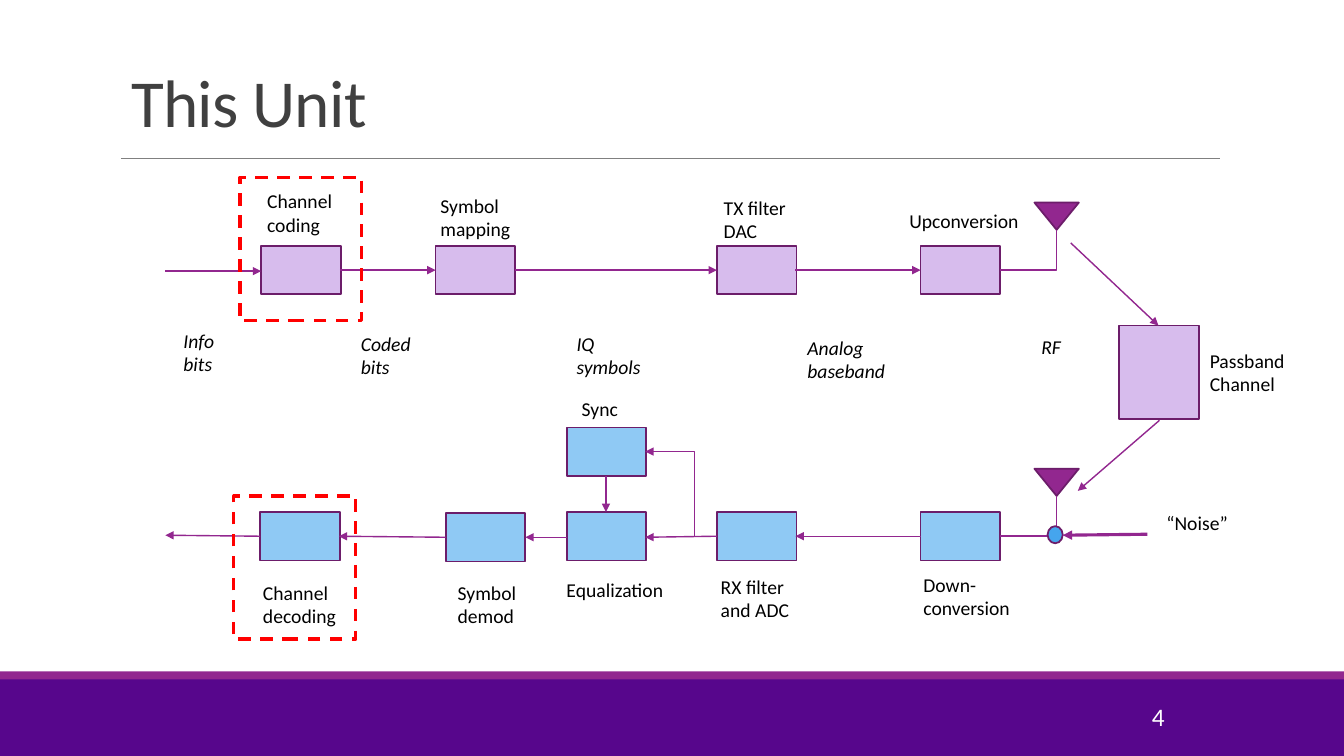
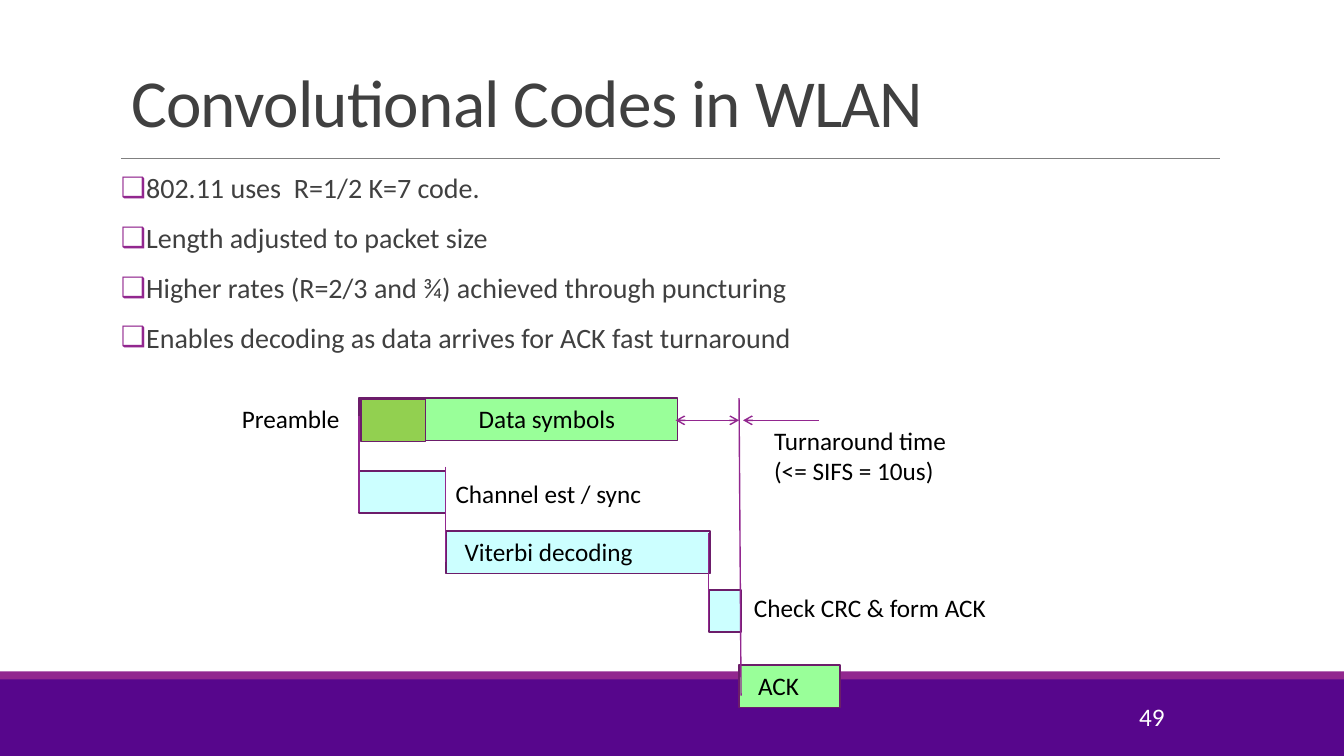
from lxml.etree import SubElement
from pptx import Presentation
from pptx.dml.color import RGBColor
from pptx.enum.dml import MSO_LINE
from pptx.enum.shapes import MSO_CONNECTOR as CONN, MSO_SHAPE as SHAPE
from pptx.enum.text import MSO_ANCHOR as ANCHOR, MSO_AUTO_SIZE as AUTO, PP_ALIGN as ALIGN
from pptx.oxml.ns import qn
from pptx.util import Inches, Pt

FONT = "Calibri"
BLACK = RGBColor(0x00, 0x00, 0x00)
WHITE = RGBColor(0xFF, 0xFF, 0xFF)
DARK = RGBColor(0x40, 0x40, 0x40)
GRAY = RGBColor(0x80, 0x80, 0x80)
RED = RGBColor(0xFF, 0x00, 0x00)
VIOLET = RGBColor(0x57, 0x06, 0x8C)
PURPLE = RGBColor(0x92, 0x27, 0x8F)
PLUM = RGBColor(0x6C, 0x1D, 0x6A)
LILAC = RGBColor(0xD7, 0xBC, 0xED)
SKY = RGBColor(0x8F, 0xC9, 0xF4)
BLUE = RGBColor(0x45, 0xA5, 0xED)
MINT = RGBColor(0x99, 0xFF, 0x99)
GREEN = RGBColor(0x92, 0xD0, 0x50)
CYAN = RGBColor(0xCC, 0xFF, 0xFF)

BLOCK_W, BLOCK_H = 0.79, 0.48
BLOCKS = [
    (LILAC, [(2.59, 2.44), (4.32, 2.44), (7.11, 2.44), (9.13, 2.44)]),
    (SKY, [(9.13, 5.08), (7.11, 5.08), (5.62, 4.24), (5.62, 5.08), (4.42, 5.09), (2.58, 5.08)]),
]
CHANNEL = (11.1, 3.23, BLOCK_W, 0.93)
ANTENNAS = [(10.26, 2.01), (10.26, 4.65)]
ADDER = (10.39, 5.22, 0.15, 0.17)
HIGHLIGHTS = [(2.38, 1.76), (2.32, 4.92)]
ARROWS = [
    (1.64, 2.69, 2.59, 2.69), (3.37, 2.68, 4.32, 2.68), (5.11, 2.68, 7.11, 2.68),
    (7.89, 2.68, 9.13, 2.68), (10.62, 2.41, 11.49, 3.23), (11.5, 4.17, 10.69, 4.87),
    (9.13, 5.32, 7.89, 5.32), (7.11, 5.32, 6.4, 5.33), (6.01, 4.72, 6.01, 5.08),
    (5.62, 5.33, 5.21, 5.33), (4.42, 5.33, 3.36, 5.32), (2.58, 5.32, 1.64, 5.31),
]
NOISE_ARROW = (11.38, 5.3, 10.54, 5.31)
ELBOWS = [
    ((9.92, 2.68, 10.48, 2.28), None),
    ((9.92, 5.32, 10.48, 4.92), None),
    ((6.4, 4.48, 6.89, 5.32), "triangle"),
]
STAGE_LABELS = [
    ("Channel coding", 2.55, 1.83, 1.05, 0.57),
    ("Symbol\nmapping", 4.27, 1.87, 0.9, 0.57),
    ("TX filter DAC", 7.08, 1.89, 1.03, 0.57),
    ("Upconversion", 8.92, 2.02, 1.29, 0.34),
    ("Passband\nChannel", 11.9, 3.41, 1.29, 0.57),
    ("Down-conversion", 9.06, 5.63, 1.29, 0.57),
    ("RX filter\nand ADC", 7.05, 5.65, 1.29, 0.57),
    ("Sync", 5.67, 3.89, 1.29, 0.34),
    ("Equalization", 5.52, 5.68, 1.29, 0.34),
    ("Symbol\ndemod", 4.44, 5.71, 0.95, 0.57),
    ("Channel\ndecoding", 2.51, 5.71, 0.95, 0.57),
    ("“Noise”", 11.47, 5.02, 1.29, 0.34),
]
SIGNAL_LABELS = [
    ("Info bits", 1.72, 3.21, 0.78, 0.57),
    ("Coded bits", 3.48, 3.24, 0.78, 0.57),
    ("IQ symbols", 5.62, 3.24, 0.95, 0.57),
    ("Analog baseband", 7.91, 3.28, 1.04, 0.57),
    ("RF", 10.23, 3.27, 0.57, 0.34),
]

BULLETS = [
    "802.11 uses  R=1/2 K=7 code.",
    "Length adjusted to packet size",
    "Higher rates (R=2/3 and ¾) achieved through puncturing",
    "Enables decoding as data arrives for ACK fast turnaround",
]
BAR_H = 0.42
BARS = [
    (3.56, 3.95, 3.16, MINT), (4.42, 5.27, 2.62, CYAN), (3.56, 4.67, 0.86, CYAN),
    (3.58, 3.96, 0.64, GREEN), (7.03, 5.85, 0.32, CYAN), (7.33, 6.6, 1, MINT),
]
BAR_LABELS = [
    ("Data symbols", 4.65, 3.95, 1.57, 0.4),
    ("Viterbi decoding", 4.51, 5.27, 1.89, 0.4),
    ("Channel est / sync", 4.42, 4.7, 2.07, 0.4),
    ("Preamble", 2.3, 3.95, 1.18, 0.4),
    ("Check CRC & form ACK", 7.38, 5.83, 2.53, 0.4),
    ("ACK", 7.42, 6.6, 0.61, 0.4),
    ("Turnaround time\n(<= SIFS = 10us)", 7.58, 4.17, 1.93, 0.71),
]
TIME_MARKS = [
    (3.56, 4.13, 3.56, 5.08), (4.42, 4.63, 4.42, 5.58),
    (7.03, 5.29, 7.03, 6.25), (7.33, 3.95, 7.35, 6.9),
]
TURNAROUND = [((8.12, 4.17, 7.37, 4.17), None), ((7.33, 4.17, 6.7, 4.17), "arrow")]


def style(p, **fmt):
    for r in p.runs:
        r.font.name = FONT
        r.font.color.rgb = fmt.get("color", BLACK)
        for name in ("size", "italic"):
            if name in fmt:
                setattr(r.font, name, fmt[name])


def place(s, at):
    for name, value in zip(("left", "top", "width", "height"), at):
        setattr(s, name, Inches(value))


def shape(slide, kind, at, fill=None, line=PLUM, width=1.25):
    s = slide.shapes.add_shape(kind, *map(Inches, at))
    s.shadow.inherit = False
    if fill is None:
        s.fill.background()
    else:
        s.fill.solid()
        s.fill.fore_color.rgb = fill
    if line is None:
        s.line.fill.background()
    else:
        s.line.color.rgb = line
        s.line.width = Pt(width)
    return s


def connect(slide, ends, color=PURPLE, width=1, head=None, tail=None, elbow=False):
    c = slide.shapes.add_connector(CONN.ELBOW if elbow else CONN.STRAIGHT, *map(Inches, ends))
    c.line.color.rgb = color
    c.line.width = Pt(width)
    props = c._element.spPr
    if elbow:
        props.find(qn("a:prstGeom")).set("prst", "bentConnector2")
    for tag, arrow in (("a:headEnd", head), ("a:tailEnd", tail)):
        if arrow:
            SubElement(props.find(qn("a:ln")), qn(tag)).set("type", arrow)
    SubElement(props, qn("a:effectLst"))


def text(slide, label, *at, wrap=True, **fmt):
    s = slide.shapes.add_textbox(*map(Inches, at))
    tf = s.text_frame
    tf.word_wrap = wrap
    p = tf.paragraphs[0]
    p.text = label
    style(p, **fmt)
    return s


def add_slide(prs, layout, title, number):
    slide = prs.slides.add_slide(prs.slide_layouts[layout])
    shape(slide, SHAPE.RECTANGLE, (0, 6.66, 13.33, 0.1), PURPLE, None)
    shape(slide, SHAPE.RECTANGLE, (0, 6.74, 13.33, 0.76), VIOLET, None)
    connect(slide, (1.2, 1.57, 12.1, 1.57), GRAY, 0.5)
    s = slide.shapes.title
    place(s, (1.2, 0.31, 11, 1.14))
    tf = s.text_frame
    tf.text = title
    tf.auto_size = AUTO.NONE
    tf.vertical_anchor = ANCHOR.BOTTOM
    p = tf.paragraphs[0]
    p.alignment = ALIGN.LEFT
    p.line_spacing = 0.85
    style(p, size=Pt(48), color=DARK)
    p.runs[0]._r.get_or_add_rPr().set("spc", "-50")
    tf = text(slide, number, 10.22, 6.91, 1.43, 0.4, size=Pt(18), color=WHITE).text_frame
    tf.vertical_anchor = ANCHOR.MIDDLE
    tf.paragraphs[0].alignment = ALIGN.RIGHT
    return slide


def add_bullets(s, items):
    place(s, (1.2, 1.68, 11, 4.74))
    tf = s.text_frame
    tf.text = "\n".join(items)
    tf.auto_size = AUTO.NONE
    tf.margin_left = tf.margin_right = 0
    for p in tf.paragraphs:
        for name, value in {"line_spacing": 0.9, "space_before": Pt(12), "space_after": Pt(2)}.items():
            setattr(p, name, value)
        style(p, size=Pt(20), color=DARK)
        props = p._p.get_or_add_pPr()
        props.set("marL", str(Inches(0.1)))
        props.set("indent", str(-Inches(0.1)))
        SubElement(SubElement(props, qn("a:buClr")), qn("a:srgbClr")).set("val", str(PURPLE))
        SubElement(props, qn("a:buFont")).set("typeface", FONT)
        SubElement(props, qn("a:buChar")).set("char", "❑")


def build_link(prs):
    slide = add_slide(prs, 5, "This Unit", "4")
    for fill, corners in BLOCKS:
        for corner in corners:
            shape(slide, SHAPE.RECTANGLE, (*corner, BLOCK_W, BLOCK_H), fill)
    shape(slide, SHAPE.RECTANGLE, CHANNEL, LILAC)
    for corner in ANTENNAS:
        shape(slide, SHAPE.ISOSCELES_TRIANGLE, (*corner, 0.44, 0.27), PURPLE).rotation = 180
    for ends, head in ELBOWS:
        connect(slide, ends, head=head, elbow=True)
    for ends in ARROWS:
        connect(slide, ends, tail="triangle")
    shape(slide, SHAPE.OVAL, ADDER, BLUE)
    connect(slide, NOISE_ARROW, width=2.25, tail="triangle")
    for labels, italic in ((STAGE_LABELS, False), (SIGNAL_LABELS, True)):
        for label in labels:
            text(slide, *label, size=Pt(14), italic=italic)
    for corner in HIGHLIGHTS:
        s = shape(slide, SHAPE.RECTANGLE, (*corner, 1.21, 1.42), None, RED, 2.25)
        s.line.dash_style = MSO_LINE.DASH


def build_timing(prs):
    slide = add_slide(prs, 1, "Convolutional Codes in WLAN", "49")
    add_bullets(slide.placeholders[1], BULLETS)
    for x, y, w, fill in BARS:
        shape(slide, SHAPE.RECTANGLE, (x, y, w, BAR_H), fill)
    for label in BAR_LABELS:
        text(slide, *label, wrap=False, size=Pt(18))
    for ends in TIME_MARKS:
        connect(slide, ends)
    for ends, head in TURNAROUND:
        connect(slide, ends, head=head, tail="arrow")


def main():
    prs = Presentation()
    prs.slide_width, prs.slide_height = Inches(13.33), Inches(7.5)
    build_link(prs)
    build_timing(prs)
    prs.save("out.pptx")


if __name__ == "__main__":
    main()
